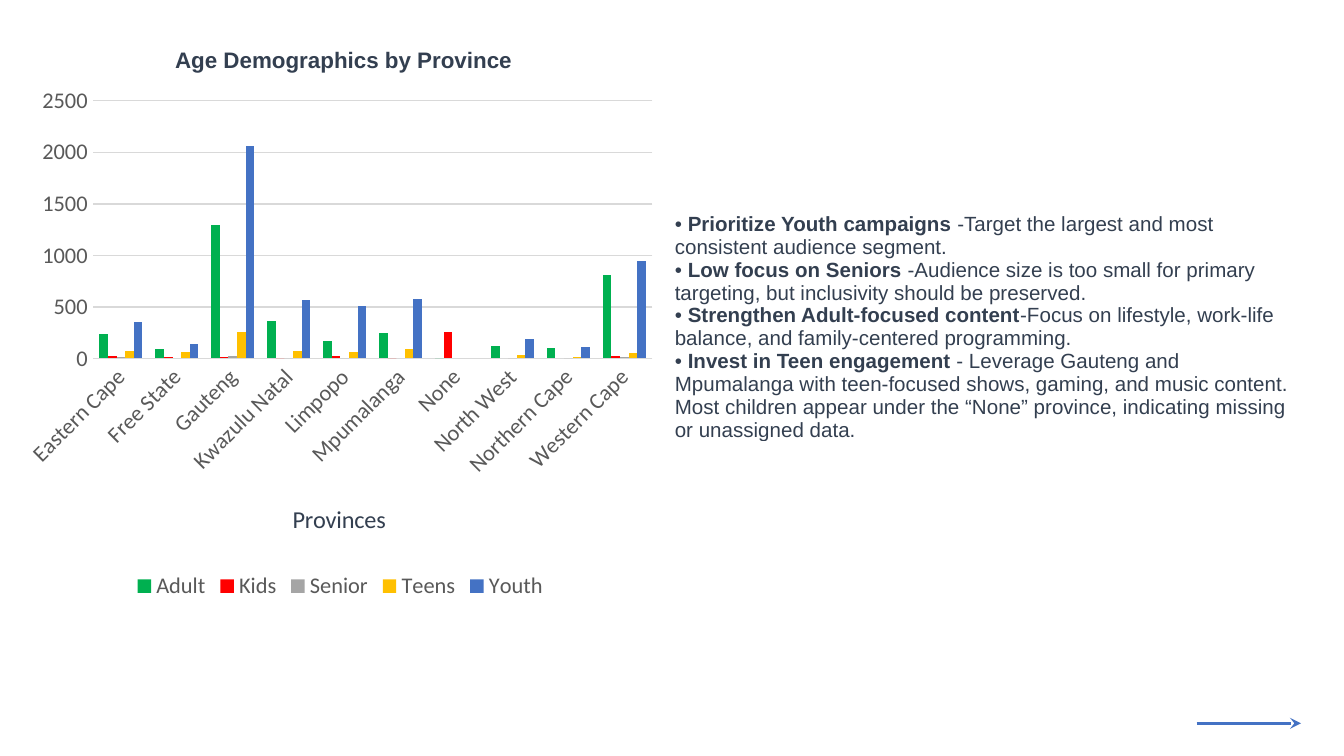
import pptx
import pptx.chart.data
import pptx.dml.color
import pptx.enum.chart
import pptx.enum.shapes
import pptx.enum.text
import pptx.oxml
import pptx.oxml.ns
import pptx.util

Pt = pptx.util.Pt
qn = pptx.oxml.ns.qn
COLORS = {
    "ink": "333F50", "label": "595959", "grid": "D9D9D9", "arrow": "4472C4",
    "Adult": "00B050", "Kids": "FF0000", "Senior": "A5A5A5",
    "Teens": "FFC000", "Youth": "4472C4",
}


def add_span(para, text, size=11, bold=False, font="Arial", color="ink"):
    span = para.add_run()
    span.text = text
    span.font.size = Pt(size)
    span.font.bold = bold
    span.font.name = font
    span.font.color.rgb = pptx.dml.color.RGBColor.from_string(COLORS[color])


def place(element, **fractions):
    """Give a chart part a manual layout in fractions of the chart."""
    for layout in element.findall(qn("c:layout")):
        element.remove(layout)
    layout = pptx.oxml.parse_xml(
        '<c:layout xmlns:c="http://schemas.openxmlformats.org/drawingml/2006/chart">'
        "<c:manualLayout/></c:layout>")
    if "w" in fractions:
        layout[0].makeelement(qn("c:layoutTarget"))
        pptx.oxml.ns.qn
        target = layout[0].makeelement(qn("c:layoutTarget"), {"val": "inner"})
        layout[0].append(target)
    for side in "xy":
        layout[0].append(layout[0].makeelement(qn(f"c:{side}Mode"), {"val": "edge"}))
    for name, value in fractions.items():
        layout[0].append(layout[0].makeelement(qn(f"c:{name}"), {"val": str(value)}))
    text = element.find(qn("c:tx"))
    element.insert(0 if text is None else element.index(text) + 1, layout)


deck = pptx.Presentation()
deck.slide_width, deck.slide_height = Pt(720), Pt(405)
page = deck.slides.add_slide(deck.slide_layouts[6])

# Chart data
data = pptx.chart.data.CategoryChartData()
data.categories = [
    "Eastern Cape", "Free State", "Gauteng", "Kwazulu Natal", "Limpopo",
    "Mpumalanga", "None", "North West", "Northern Cape", "Western Cape"]
audience = {
    "Adult": [240, 90, 1290, 360, 170, 250, 0, 120, 100, 810],
    "Kids": [20, 10, 10, 0, 20, 0, 260, None, None, 20],
    "Senior": [10, None, 20, 0, 0, None, None, 0, 0, 10],
    "Teens": [70, 60, 260, 70, 60, 90, None, 30, 10, 50],
    "Youth": [350, 140, 2060, 570, 510, 580, None, 190, 110, 950],
}
for group, counts in audience.items():
    data.add_series(group, counts)

# Column chart
chart = page.shapes.add_chart(
    pptx.enum.chart.XL_CHART_TYPE.COLUMN_CLUSTERED,
    Pt(8), Pt(10), Pt(348.5), Pt(314), data).chart
chart.font.name = "Calibri"
chart.font.size = Pt(10)
plot = chart.plots[0]
plot.gap_width = 150
plot.overlap = 0
plot.vary_by_categories = False
for series in plot.series:
    series.format.fill.solid()
    series.format.fill.fore_color.rgb = pptx.dml.color.RGBColor.from_string(COLORS[series.name])
    series.invert_if_negative = False

# Axes and legend
chart.has_legend = True
chart.legend.position = pptx.enum.chart.XL_LEGEND_POSITION.BOTTOM
chart.legend.include_in_layout = False
provinces, counts_axis = chart.category_axis, chart.value_axis
for axis in (provinces, counts_axis):
    axis.major_tick_mark = pptx.enum.chart.XL_TICK_MARK.NONE
    axis.minor_tick_mark = pptx.enum.chart.XL_TICK_MARK.NONE
    axis.format.line.fill.background()
for font in (provinces.tick_labels.font, counts_axis.tick_labels.font, chart.legend.font):
    font.name = "Calibri"
    font.size = Pt(12)
    font.color.rgb = pptx.dml.color.RGBColor.from_string(COLORS["label"])
provinces._element.find(qn("c:txPr")).find(qn("a:bodyPr")).set("rot", "-2700000")
counts_axis.minimum_scale, counts_axis.maximum_scale = 0, 2500
counts_axis.major_unit = 500
grid = counts_axis.major_gridlines.format.line
grid.width = Pt(0.75)
grid.color.rgb = pptx.dml.color.RGBColor.from_string(COLORS["grid"])

# Chart titles and plot position
chart.has_title = True
add_span(chart.chart_title.text_frame.paragraphs[0],
         "Age Demographics by Province", size=12, bold=True)
add_span(provinces.axis_title.text_frame.paragraphs[0],
         "Provinces", size=13, font="Calibri")
place(chart.chart_title._element, x=0.24, y=0.04)
place(provinces.axis_title._element, x=0.42, y=0.82)
place(chart._chartSpace.chart.plotArea, x=0.12, y=0.14, w=0.86, h=0.44)

# Recommendations table
table = page.shapes.add_table(2, 2, Pt(356.5), Pt(43), Pt(358), Pt(223)).table
table.first_row = table.horz_banding = False
table.columns[0].width, table.columns[1].width = Pt(345), Pt(13)
table.rows[0].height, table.rows[1].height = Pt(193.5), Pt(29.5)
table.cell(1, 0).merge(table.cell(1, 1))
for cell in table.iter_cells():
    cell.fill.background()
box = table.cell(0, 0)
box.vertical_anchor = pptx.enum.text.MSO_ANCHOR.BOTTOM
box.margin_left = box.margin_right = Pt(5)
box.margin_top = box.margin_bottom = 0
advice = [
    ("• ", "Prioritize Youth campaigns ",
     "-Target the largest and most consistent audience segment."),
    ("• ", "Low focus on Seniors ",
     "-Audience size is too small for primary targeting, but inclusivity should be preserved."),
    ("• ", "Strengthen Adult-focused content",
     "-Focus on lifestyle, work-life balance, and family-centered programming."),
    ("• ", "Invest in Teen engagement",
     " - Leverage Gauteng and Mpumalanga with teen-focused shows, gaming, and music content."),
    ("Most children appear under the “None” province, indicating missing or unassigned data.",),
]
for number, parts in enumerate(advice):
    para = box.text_frame.add_paragraph() if number else box.text_frame.paragraphs[0]
    for position, text in enumerate(parts):
        add_span(para, text, bold=position == 1)

# Arrow
arrow = page.shapes.add_connector(
    pptx.enum.shapes.MSO_CONNECTOR.STRAIGHT, Pt(641), Pt(387.5), Pt(697), Pt(387.5))
arrow.line.width = Pt(1.5)
arrow.line.color.rgb = pptx.dml.color.RGBColor.from_string(COLORS["arrow"])
line = arrow.line._get_or_add_ln()
line.append(line.makeelement(qn("a:tailEnd"), {"type": "stealth"}))
properties = arrow._element.spPr
properties.append(properties.makeelement(qn("a:effectLst"), {}))

deck.save("out.pptx")
